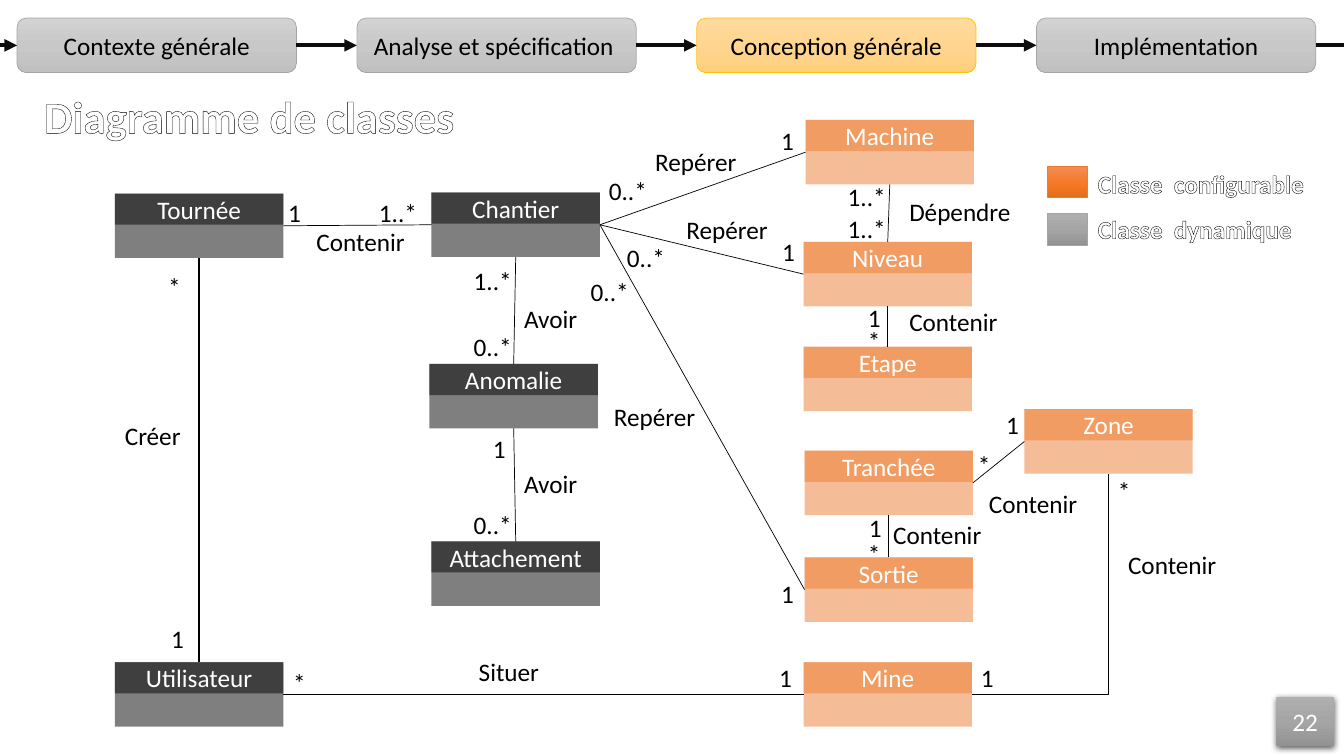
import copy
import pptx
import pptx.util
import pptx.dml.color
import pptx.enum.shapes
import pptx.enum.text
import pptx.oxml
import pptx.oxml.ns

Inches = pptx.util.Inches
Pt = pptx.util.Pt
qn = pptx.oxml.ns.qn
KIND = pptx.enum.shapes.MSO_SHAPE
LINK = pptx.enum.shapes.MSO_CONNECTOR
CENTER = pptx.enum.text.PP_ALIGN.CENTER
LEFT = pptx.enum.text.PP_ALIGN.LEFT

# Content
TITLE = "Diagramme de classes"
PAGE = "22"
STEPS = ["Contexte générale", "Analyse et spécification ",
         "Conception générale", "Implémentation"]
ACTIVE = 2
LEGEND = [("Classe  configurable", "orange"), ("Classe  dynamique", "gray")]

# Class name: left, top, tint
CLASSES = {
    "Tournée": (1.14, 1.92, "dark"),
    "Chantier": (4.28, 1.91, "dark"),
    "Anomalie": (4.26, 3.61, "dark"),
    "Attachement": (4.28, 5.37, "dark"),
    "Utilisateur": (1.14, 6.57, "dark"),
    "Machine": (7.99, 1.19, "warm"),
    "Niveau": (7.97, 2.4, "warm"),
    "Etape": (7.97, 3.44, "warm"),
    "Tranchée": (7.98, 4.47, "warm"),
    "Sortie": (7.98, 5.53, "warm"),
    "Mine": (7.97, 6.57, "warm"),
    "Zone": (10.16, 4.06, "warm"),
}

# From class, side, to class, side (0 top, 1 left, 2 bottom, 3 right)
LINKS = [
    ("Utilisateur", 0, "Tournée", 2),
    ("Utilisateur", 3, "Mine", 1),
    ("Anomalie", 2, "Attachement", 0),
    ("Chantier", 2, "Anomalie", 0),
    ("Tournée", 3, "Chantier", 1),
    ("Chantier", 3, "Niveau", 1),
    ("Machine", 2, "Niveau", 0),
    ("Zone", 1, "Tranchée", 3),
    ("Niveau", 2, "Etape", 0),
    ("Sortie", 0, "Tranchée", 2),
    ("Chantier", 3, "Sortie", 1),
    ("Chantier", 3, "Machine", 1),
    ("Mine", 3, "Zone", 2),
]

# Label: places of its left top corner
LABELS = {
    "*": [(1.57, 2.64), (10.99, 4.67), (9.6, 4.41), (8.51, 5.29),
          (2.81, 6.57), (8.51, 3.18)],
    "1": [(1.6, 6.13), (2.76, 1.91), (4.79, 4.25), (9.63, 6.52),
          (9.88, 4.01), (8.52, 5.03), (7.63, 6.52), (7.66, 2.3),
          (7.65, 1.19), (7.65, 5.69), (8.51, 2.95)],
    "1..*": [(3.66, 1.91), (4.6, 2.58), (8.31, 1.75), (8.31, 2.07)],
    "0..*": [(4.6, 3.24), (4.6, 5), (5.94, 1.69), (6.12, 2.36),
             (5.76, 2.69)],
    "Créer": [(1.14, 4.12)],
    "Contenir": [(3.04, 2.2), (11.09, 5.4), (9.71, 4.8), (8.76, 5.1),
                 (8.92, 2.99)],
    "Situer": [(4.65, 6.46)],
    "Avoir": [(5.1, 4.6), (5.1, 2.96)],
    "Repérer": [(5.99, 3.93), (6.4, 1.4), (6.71, 2.08)],
    "Dépendre": [(8.92, 1.9)],
}
WIDTHS = {"*": 1.13, "1": 1.03}

THEME = {
    "font": "Calibri", "size": 18, "title": 32,
    "black": "000000", "white": "FFFFFF", "arrow": "0D0D0D",
    "dark": "000000", "warm": "ED7D31",
    "orange": (("F18C57", "F67B28", "E56C19"), "ED7D31"),
    "gray": (("AFAFAF", "A5A5A5", "939393"), "A5A5A5"),
    "step": (("D2D2D2", "C8C8C8", "C0C0C0"), "A5A5A5"),
    "active": (("FFDB9E", "FFD590", "FFD07C"), "FFC000"),
}

deck = pptx.Presentation()
deck.slide_width, deck.slide_height = Inches(13.33), Inches(7.5)
slide = deck.slides.add_slide(deck.slide_layouts[6])


def rgb(code):
    return pptx.dml.color.RGBColor.from_string(code)


def add(parent, tag, **attrs):
    node = parent.makeelement(qn(tag), attrs)
    parent.append(node)
    return node


def write(shape, text, color, size=THEME["size"], align=LEFT, bold=False):
    para = shape.text_frame.paragraphs[0]
    para.text, para.alignment = text, align
    font = para.font
    font.name, font.size, font.bold = THEME["font"], Pt(size), bold
    font.color.rgb = rgb(THEME[color])


def box(kind, x, y, w, h):
    shape = slide.shapes.add_shape(kind, *map(Inches, (x, y, w, h)))
    shape.shadow.inherit = False
    shape.line.fill.background()
    shape.text_frame.vertical_anchor = pptx.enum.text.MSO_ANCHOR.MIDDLE
    return shape


def flat(shape, color):
    shape.fill.solid()
    shape.fill.fore_color.rgb = rgb(THEME[color])
    tint = shape.fill._xPr.find(qn("a:solidFill"))[0]
    add(tint, "a:alpha", val="50000")


def shade(shape, look, edge=True):
    colors, line = THEME[look]
    shape.fill.gradient()
    shape.fill.gradient_angle = 270
    stops = shape._element.spPr.find(".//" + qn("a:gsLst"))
    stops.insert(1, copy.deepcopy(stops[0]))
    for i, stop in enumerate(shape.fill.gradient_stops):
        stop.position, stop.color.rgb = i / 2, rgb(colors[i])
    if edge:
        shape.line.color.rgb, shape.line.width = rgb(line), Pt(0.5)


def label(text, x, y, w, h=0.4, **style):
    shape = slide.shapes.add_textbox(*map(Inches, (x, y, w, h)))
    shape.text_frame.word_wrap = True
    shape.text_frame.auto_size = pptx.enum.text.MSO_AUTO_SIZE.SHAPE_TO_FIT_TEXT
    write(shape, text, **style)
    return shape


def outline(shape):
    props = shape.text_frame.paragraphs[0].runs[0].font._element
    line = props.makeelement(qn("a:ln"), {"w": str(Pt(0.75))})
    props.insert(0, line)
    add(add(line, "a:solidFill"), "a:srgbClr", val=THEME["black"])


def wire(kind, ends, color, width):
    line = slide.shapes.add_connector(kind, *map(Inches, ends))
    line.line.color.rgb, line.line.width = rgb(THEME[color]), Pt(width)
    add(line._element.spPr, "a:effectLst")
    return line


# Classes
WIDE, TALL, HEAD = 1.67, 0.64, 0.31
bodies = {}
for name, (x, y, tint) in CLASSES.items():
    bodies[name] = box(KIND.RECTANGLE, x, y, WIDE, TALL)
    head = box(KIND.RECTANGLE, x, y, WIDE, HEAD)
    flat(bodies[name], tint)
    flat(head, tint)
    write(head, name, "white", align=CENTER)

# Legend
for i, (text, look) in enumerate(LEGEND):
    shade(box(KIND.RECTANGLE, 10.39, 1.65 + i * 0.47, 0.4, HEAD), look)
    outline(label(text, 10.79, 1.62 + i * 0.45, 3.26, color="white", bold=True))

# Links between classes
SIDES = [(0.5, 0), (0, 0.5), (0.5, 1), (1, 0.5)]


def spot(name, side):
    x, y, _ = CLASSES[name]
    return x + SIDES[side][0] * WIDE, y + SIDES[side][1] * TALL


for start, out, end, into in LINKS:
    bent = out == 3 and into == 2
    line = wire(LINK.ELBOW if bent else LINK.STRAIGHT,
                spot(start, out) + spot(end, into), "black",
                1 if end == "Tournée" else 0.5)
    line.begin_connect(bodies[start], out)
    line.end_connect(bodies[end], into)
    if bent:
        line._element.spPr.find(qn("a:prstGeom")).set("prst", "bentConnector2")

# Link labels
for text, spots in LABELS.items():
    for x, y in spots:
        label(text, x, y, WIDTHS.get(text, 1.33), color="black")

# Steps and arrows
STEP, GAP, MID = 2.77, 0.6, 0.45
steps = []
for i, text in enumerate(STEPS):
    step = box(KIND.ROUNDED_RECTANGLE, 0.17 + i * (STEP + GAP), 0.18, STEP, 0.54)
    shade(step, "active" if i == ACTIVE else "step")
    write(step, text, "black", align=CENTER)
    steps.append(step)
for i in range(len(steps) + 1):
    x = 0.17 + i * (STEP + GAP)
    line = wire(LINK.STRAIGHT, (x - GAP if i else -0.16, MID, x, MID), "arrow", 3)
    if i > 0:
        line.begin_connect(steps[i - 1], 3)
    if i < len(steps):
        line.end_connect(steps[i], 1)
    add(line.line._get_or_add_ln(), "a:tailEnd", type="triangle")

# Page number
page = box(KIND.RECTANGLE, 12.66, 6.91, 0.57, 0.49)
shade(page, "gray", edge=False)
write(page, PAGE, "white", align=CENTER)
cast = add(page._element.spPr.find(qn("a:effectLst")), "a:outerShdw",
           blurRad=str(Pt(4.5)), dist=str(Pt(1.5)), dir="5400000")
add(add(cast, "a:srgbClr", val=THEME["black"]), "a:alpha", val="63000")

# Title
outline(label(TITLE, -2.95, 0.83, 10.85, 0.64, color="white",
              size=THEME["title"], align=CENTER, bold=True))

deck.save("out.pptx")
